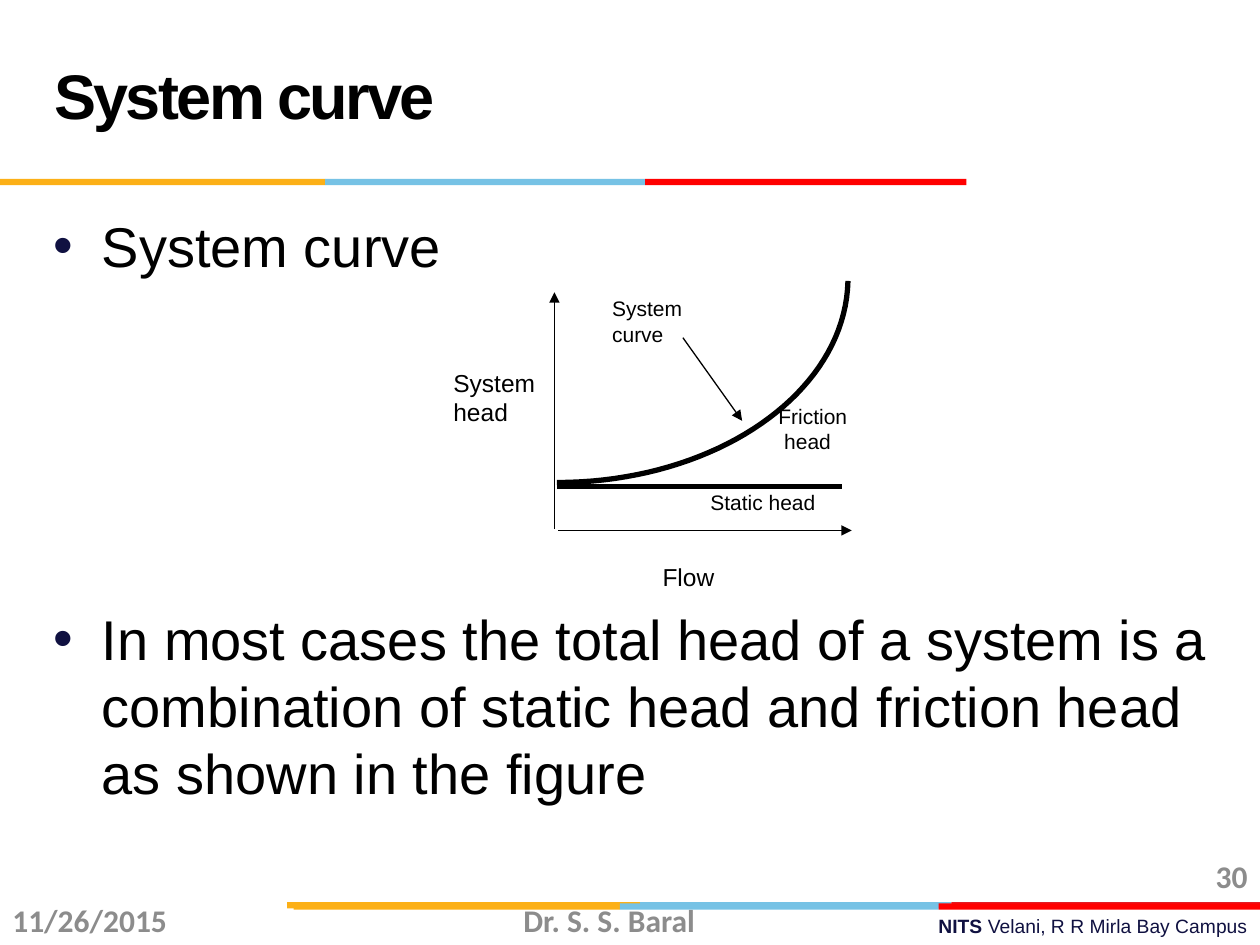
from dataclasses import dataclass

from lxml import etree
from pptx import Presentation, util as u
from pptx.dml.color import RGBColor
from pptx.enum import shapes, text
from pptx.oxml.ns import qn

WIDTH, HEIGHT = 10, 7.5
BLACK, NAVY, GREY = "000000", "101141", "8C8C8C"
AMBER, SKY, RED, DARK_RED = "FCB017", "76C2E5", "FF0000", "E31C24"
LEFT, CENTER, RIGHT = text.PP_ALIGN.LEFT, text.PP_ALIGN.CENTER, text.PP_ALIGN.RIGHT
TOP, MIDDLE = text.MSO_ANCHOR.TOP, text.MSO_ANCHOR.MIDDLE


@dataclass
class Stripe:
    """A row of coloured bars; edges has one more entry than colors."""
    top: float
    edges: tuple
    colors: tuple


@dataclass
class Label:
    place: tuple
    lines: tuple
    size: float = 12


@dataclass
class Footer:
    place: tuple
    words: str
    align: int


@dataclass
class Line:
    start: tuple
    end: tuple
    weight: float = 0.75
    arrow: bool = True


STRIPES = (
    Stripe(7.16, (2.28, 5.08, 7.55, 10), (AMBER, SKY, DARK_RED)),
    Stripe(7.17, (2.33, 4.92, 7.45, 10), (AMBER, SKY, RED)),
    Stripe(1.42, (0, 2.58, 5.12, 7.67), (AMBER, SKY, RED)),
)
LINES = (
    Line((4.43, 4.21), (6.76, 4.21)),
    Line((4.4, 4.2), (4.4, 2.32)),
    Line((5.42, 2.68), (5.89, 3.34)),
    Line((4.42, 3.86), (6.68, 3.86), weight=3, arrow=False),
)
LABELS = (
    Label((3.5, 2.87, 1.04, 0.64), ("System head",), 14),
    Label((5.16, 4.41, 0.69, 0.38), ("Flow",), 14),
    Label((5.54, 3.84, 1.28, 0.34), ("Static head",)),
    Label((6.08, 3.15, 0.84, 0.56), ("Friction", " head")),
    Label((4.76, 2.3, 0.85, 0.56), ("System", "curve")),
)
FOOTERS = (
    Footer((0, 7.1, 2.33, 0.4), "11/26/2015", LEFT),
    Footer((7.67, 6.75, 2.33, 0.4), "30", RIGHT),
    Footer((3.25, 7.1, 3.17, 0.4), "Dr. S. S. Baral", CENTER),
)
CURVE = ((4.42, 3.83), (5.68, 3.83), (6.71, 3.12), (6.73, 2.23))


def color(value: str) -> RGBColor:
    return RGBColor.from_string(value)


def inches(values) -> list:
    return [u.Inches(value) for value in values]


def add_span(para, words: str, *, size: float, font="Arial", fill=BLACK, bold=False):
    span = para.add_run()
    span.text = words
    span.font.size, span.font.name, span.font.bold = u.Pt(size), font, bold
    span.font.color.rgb = color(fill)
    return span


def add_text(page, place: tuple, lines: tuple, *, align=LEFT, anchor=TOP, **style):
    box = page.shapes.add_textbox(*inches(place))
    frame = box.text_frame
    frame.word_wrap, frame.vertical_anchor = True, anchor
    for index, words in enumerate(lines):
        para = frame.add_paragraph() if index else frame.paragraphs[0]
        para.alignment = align
        add_span(para, words, **style)
    return box


def add_bullet(para) -> None:
    props = para._p.get_or_add_pPr()
    props.set("marL", str(u.Inches(0.38)))
    props.set("indent", str(u.Inches(-0.38)))
    tint = etree.SubElement(props, qn("a:buClr"))
    etree.SubElement(tint, qn("a:srgbClr"), val=NAVY)
    etree.SubElement(props, qn("a:buFont"), typeface="Arial")
    etree.SubElement(props, qn("a:buChar"), char="•")


def add_stripe(page, stripe: Stripe) -> None:
    for left, right, fill in zip(stripe.edges, stripe.edges[1:], stripe.colors):
        place = inches((left, stripe.top, right - left, 0.05))
        bar = page.shapes.add_shape(shapes.MSO_SHAPE.RECTANGLE, *place)
        bar.shadow.inherit = False
        bar.fill.solid()
        bar.fill.fore_color.rgb = color(fill)
        bar.line.fill.background()


def add_line(page, line: Line) -> None:
    link = page.shapes.add_connector(
        shapes.MSO_CONNECTOR.STRAIGHT, *inches(line.start + line.end))
    link.line.color.rgb = color(BLACK)
    link.line.width = u.Pt(line.weight)
    if line.arrow:
        etree.SubElement(link.line._get_or_add_ln(), qn("a:tailEnd"), type="triangle")
    etree.SubElement(link._element.spPr, qn("a:effectLst"))


def bezier(points: tuple, share: float) -> tuple:
    while len(points) > 1:
        points = tuple(
            tuple(a + (b - a) * share for a, b in zip(start, end))
            for start, end in zip(points, points[1:]))
    return points[0]


def add_curve(page, controls: tuple, steps: int = 40) -> None:
    points = [inches(bezier(controls, step / steps)) for step in range(steps + 1)]
    builder = page.shapes.build_freeform(*points[0])
    builder.add_line_segments(points[1:], close=False)
    curve = builder.convert_to_shape()
    curve.shadow.inherit = False
    curve.fill.background()
    curve.line.color.rgb = color(BLACK)
    curve.line.width = u.Pt(3)


def add_title(page, words: str) -> None:
    title = page.shapes.title
    title.left, title.top, title.width, title.height = inches((0.33, 0.17, 6.92, 1.25))
    title.text_frame.vertical_anchor = MIDDLE
    para = title.text_frame.paragraphs[0]
    para.alignment, para.line_spacing = LEFT, u.Pt(36)
    span = add_span(para, words, size=36, bold=True)
    span.font._element.set("spc", "-150")


def add_body(page, points: tuple, figure_gap: float) -> None:
    """Set the bullets, leaving figure_gap points between them for the diagram."""
    box = add_text(page, (0.33, 1.63, 9.42, 5.37), points, size=32)
    for index, para in enumerate(box.text_frame.paragraphs):
        para.space_before = u.Pt(figure_gap if index else 6.4)
        add_bullet(para)


def main() -> None:
    deck = Presentation()
    deck.slide_width, deck.slide_height = inches((WIDTH, HEIGHT))
    page = deck.slides.add_slide(deck.slide_layouts[5])
    add_title(page, "System curve")

    campus = add_text(page, (3.58, 7.21, 6.42, 0.29), ("NITS ",),
                      align=RIGHT, size=11, fill=NAVY, bold=True)
    add_span(campus.text_frame.paragraphs[0], "Velani, R R Mirla Bay Campus",
             size=11, fill=NAVY)
    for stripe in STRIPES:
        add_stripe(page, stripe)
    add_body(page, (
        "System curve",
        "In most cases the total head of a system is a combination of static "
        "head and friction head as shown in the figure",
    ), figure_gap=186)

    add_curve(page, CURVE)
    for line in LINES:
        add_line(page, line)
    for label in LABELS:
        add_text(page, label.place, label.lines, size=label.size)
    for footer in FOOTERS:
        add_text(page, footer.place, (footer.words,), align=footer.align,
                 anchor=MIDDLE, size=18, font="Calibri", fill=GREY, bold=True)
    deck.save("out.pptx")


if __name__ == "__main__":
    main()
